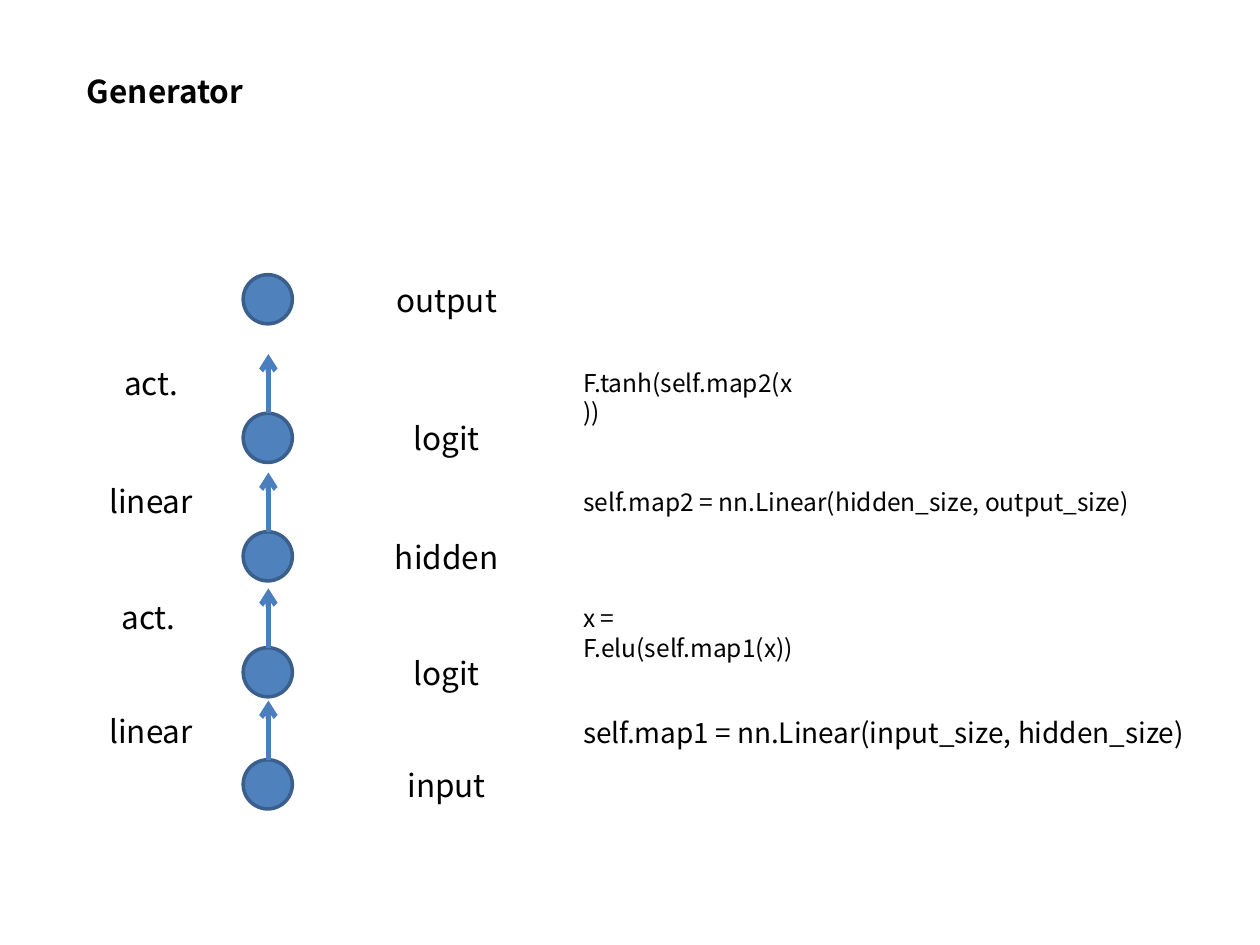
from lxml import etree
from pptx import Presentation
from pptx.dml.color import RGBColor
from pptx.enum.shapes import MSO_CONNECTOR, MSO_SHAPE
from pptx.enum.text import MSO_ANCHOR, MSO_AUTO_SIZE, PP_ALIGN
from pptx.oxml.ns import qn
from pptx.util import Inches, Pt

LEFT, CENTER = PP_ALIGN.LEFT, PP_ALIGN.CENTER
TOP = MSO_ANCHOR.TOP
NO_AUTOFIT = MSO_AUTO_SIZE.NONE
OVAL = MSO_SHAPE.OVAL
STRAIGHT = MSO_CONNECTOR.STRAIGHT

FONT = "Noto Sans CJK KR"
NODE_SIZE, NODE_LEFT, ARROW_X, ARROW_LENGTH = 0.39, 1.93, 2.13, 0.47
NODE_LABEL_LEFT, NODE_LABEL_WIDTH = 2.64, 1.81
STEP_WIDTH, LABEL_HEIGHT, CODE_LEFT = 1.5, 0.4, 4.53


def rgb(value):
    return RGBColor.from_string(value)


def write(box, text, size=18, align=CENTER, bold=False):
    frame = box.text_frame
    frame_format = {"word_wrap": True, "auto_size": NO_AUTOFIT, "vertical_anchor": TOP}
    for name, value in frame_format.items():
        setattr(frame, name, value)
    frame.text = text
    paragraph = frame.paragraphs[0]
    paragraph.alignment = align
    font_format = {"name": FONT, "size": Pt(size), "bold": bold}
    for name, value in font_format.items():
        setattr(paragraph.font, name, value)
    paragraph.font.color.rgb = rgb("000000")


prs = Presentation()
prs.slide_width, prs.slide_height = Inches(10), Inches(7.5)
slide = prs.slides.add_slide(prs.slide_layouts[5])
shapes = slide.shapes

# Title
title = shapes.title
title.left, title.top = Inches(0.59), Inches(0.52)
title.width, title.height = Inches(4.65), Inches(LABEL_HEIGHT)
write(title, "Generator", align=LEFT, bold=True)

# Network nodes from input to output, with an arrow up from all but the last
nodes = [("input", 6.03), ("logit", 5.14), ("hidden", 4.22), ("logit", 3.28), ("output", 2.18)]
for label, top in nodes:
    node = shapes.add_shape(OVAL, Inches(NODE_LEFT), Inches(top), Inches(NODE_SIZE), Inches(NODE_SIZE))
    node.shadow.inherit = False
    node.fill.solid()
    node.fill.fore_color.rgb = rgb("4F81BD")
    node.line.color.rgb = rgb("3A5F8C")
    node.line.width = Pt(2)

    node_label = shapes.add_textbox(
        Inches(NODE_LABEL_LEFT), Inches(top), Inches(NODE_LABEL_WIDTH), Inches(LABEL_HEIGHT))
    write(node_label, label)

    if label != "output":
        arrow = shapes.add_connector(
            STRAIGHT, Inches(ARROW_X), Inches(top), Inches(ARROW_X), Inches(top - ARROW_LENGTH))
        arrow.line.color.rgb = rgb("4B7EBC")
        arrow.line.width = Pt(3)
        etree.SubElement(arrow.line._get_or_add_ln(), qn("a:tailEnd"), type="arrow")
        etree.SubElement(arrow._element.spPr, qn("a:effectLst"))

# Steps between the nodes: name, left, top
steps = [("linear", 0.45, 5.6), ("act.", 0.43, 4.7), ("linear", 0.45, 3.78), ("act.", 0.45, 2.84)]
for step, left, top in steps:
    step_label = shapes.add_textbox(
        Inches(left), Inches(top), Inches(STEP_WIDTH), Inches(LABEL_HEIGHT))
    write(step_label, step)

# Code for each step: text, top, width, height, font size
code_lines = [
    ("self.map1 = nn.Linear(input_size, hidden_size)", 5.63, 5, 0.37, 16),
    ("x = F.elu(self.map1(x))", 4.74, 2.12, 0.34, 14),
    ("self.map2 = nn.Linear(hidden_size, output_size)", 3.82, 5, 0.34, 14),
    ("F.tanh(self.map2(x))", 2.87, 1.89, 0.34, 14),
]
for code, top, width, height, size in code_lines:
    code_box = shapes.add_textbox(Inches(CODE_LEFT), Inches(top), Inches(width), Inches(height))
    write(code_box, code, size, LEFT)

prs.save("out.pptx")
